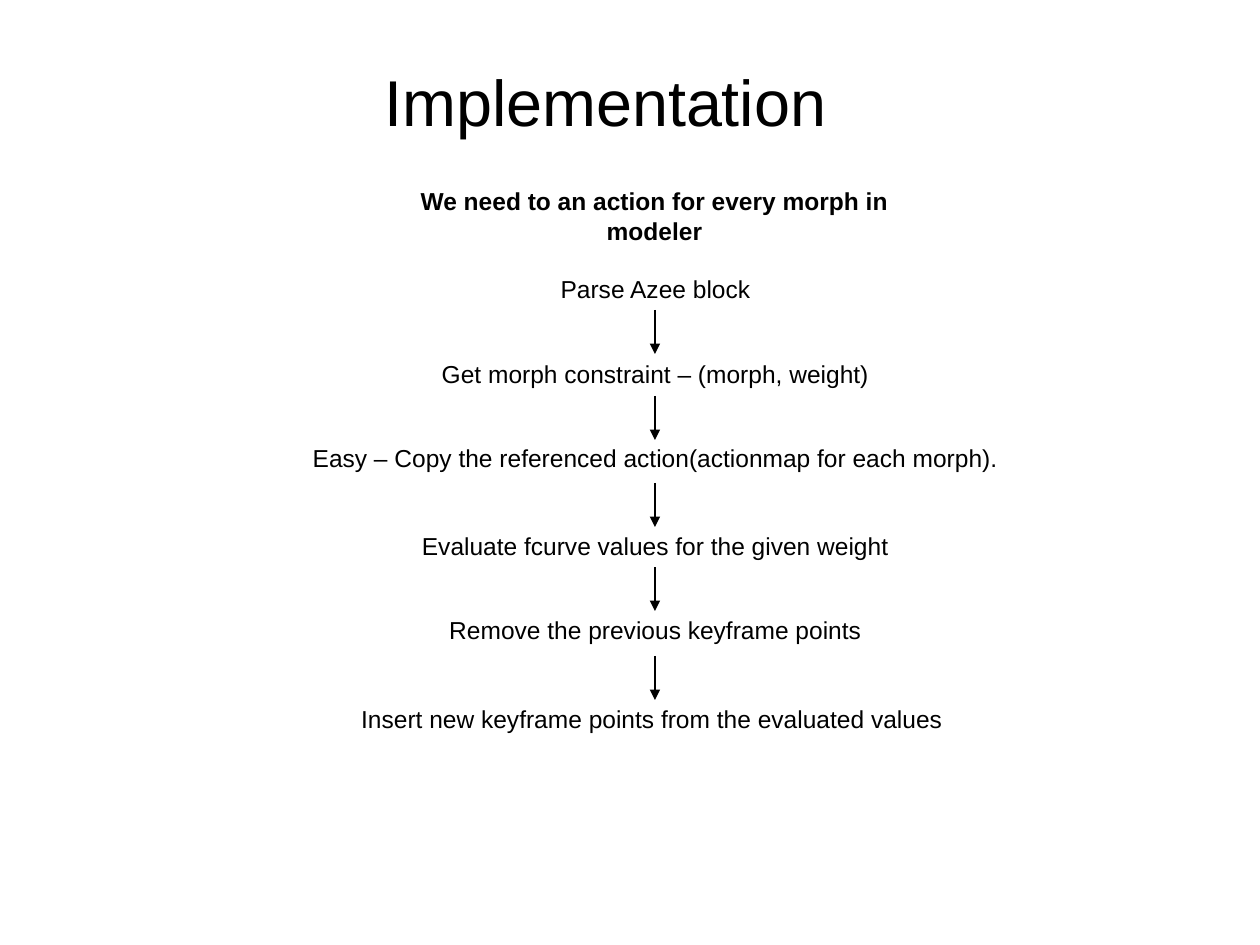
import pptx
import pptx.util
import pptx.dml.color
import pptx.enum.shapes
import pptx.enum.text
import pptx.oxml.ns
from lxml import etree

SCALE = 914400 / 126
BLACK = pptx.dml.color.RGBColor(0, 0, 0)
CENTER = pptx.enum.text.PP_ALIGN.CENTER
LEFT = pptx.enum.text.PP_ALIGN.LEFT

TITLE_BOX = (372, 45, 517, 112)
HEADING_BOX = (359, 180, 591, 43)
FLOW_BOX = (299, 268, 713, 473)
ROW_HEIGHT = 43
ARROW_LENGTH = 44

# Text, width and top of each step, in pixels, top measured from the flow box.
STEPS = [
    ("Parse Azee block", 218, 0),
    ("Get morph constraint – (morph, weight)", 454, 85),
    ("Easy – Copy the referenced action(actionmap for each morph).", 713, 169),
    ("Evaluate fcurve values for the given weight", 494, 257),
    ("Remove the previous keyframe points", 440, 341),
    ("Insert new keyframe points from the evaluated values ", 616, 430),
]
ARROW_TOPS = [42, 128, 215, 299, 388]


def px(length):
    """Turn picture pixels into EMU."""
    return pptx.util.Emu(round(length * SCALE))


def add_text(slide, box, text, size, bold=False, alignment=CENTER):
    """Place one line of black text in a box and return its text frame."""
    shape = slide.shapes.add_textbox(*map(px, box))
    frame = shape.text_frame
    frame.text = text
    paragraph = frame.paragraphs[0]
    paragraph.alignment = alignment
    font = paragraph.runs[0].font
    font.name = "Arial"
    font.size = pptx.util.Pt(size)
    font.bold = bold
    font.color.rgb = BLACK
    return frame


def add_label(slide, box, text, bold=False):
    """Place an unwrapped label that grows with its text."""
    frame = add_text(slide, box, text, 14, bold)
    frame.word_wrap = False
    frame.auto_size = pptx.enum.text.MSO_AUTO_SIZE.SHAPE_TO_FIT_TEXT


def add_title(slide, box):
    """Place the slide title, centred vertically in its box."""
    frame = add_text(slide, box, "Implementation", 37, alignment=LEFT)
    frame.word_wrap = True
    frame.vertical_anchor = pptx.enum.text.MSO_ANCHOR.MIDDLE
    inset = pptx.util.Inches(0.1)
    frame.margin_left = frame.margin_right = inset
    frame.margin_top = frame.margin_bottom = inset


def add_arrow(slide, x, top):
    """Draw a thin arrow pointing down from the given point."""
    arrow = slide.shapes.add_connector(
        pptx.enum.shapes.MSO_CONNECTOR.STRAIGHT,
        px(x), px(top), px(x), px(top + ARROW_LENGTH))
    arrow.line.color.rgb = BLACK
    arrow.line.width = pptx.util.Pt(0.75)
    qn = pptx.oxml.ns.qn
    etree.SubElement(arrow.line._get_or_add_ln(), qn("a:tailEnd"), type="triangle")
    etree.SubElement(arrow._element.spPr, qn("a:effectLst"))


def add_flow(slide, box):
    """Stack the steps on the box's centre line and join them with arrows."""
    left, top, width, _ = box
    center = left + width / 2
    for text, step_width, offset in STEPS:
        add_label(slide, (center - step_width / 2, top + offset, step_width, ROW_HEIGHT), text)
    for offset in ARROW_TOPS:
        add_arrow(slide, round(center - 0.5), top + offset)


def build():
    """Build and save the presentation."""
    presentation = pptx.Presentation()
    presentation.slide_width = px(1260)
    presentation.slide_height = px(945)
    slide = presentation.slides.add_slide(presentation.slide_layouts[6])
    add_title(slide, TITLE_BOX)
    add_label(slide, HEADING_BOX, "We need to an action for every morph in modeler", bold=True)
    add_flow(slide, FLOW_BOX)
    presentation.save("out.pptx")


build()
